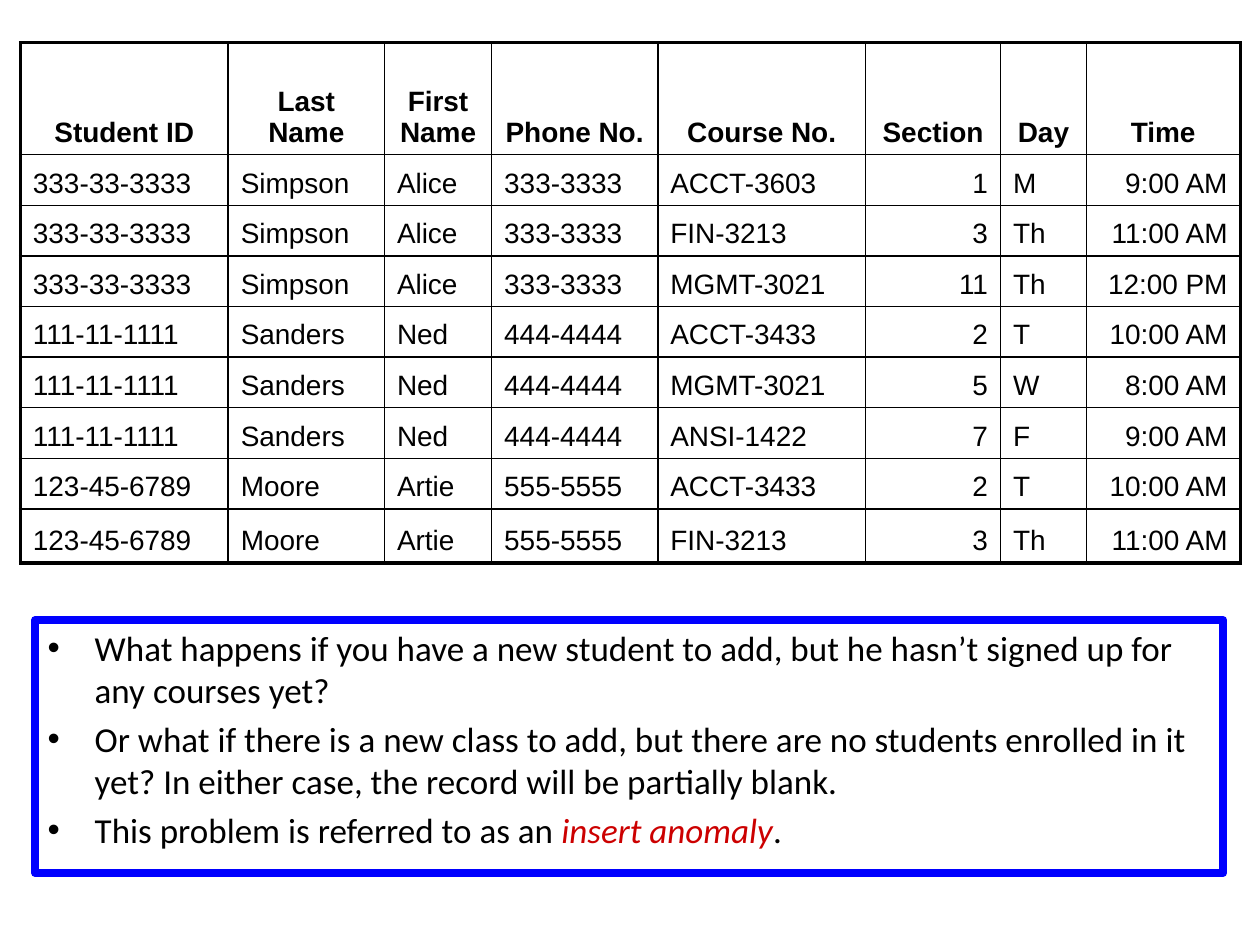
from lxml import etree
from pptx import Presentation
from pptx import util as u
from pptx.dml import color
from pptx.enum import shapes, text
from pptx.oxml import ns

BLACK, WHITE, BLUE, RED = "000000", "FFFFFF", "0000FF", "CC0000"
LEFT, CENTER, RIGHT = text.PP_ALIGN.LEFT, text.PP_ALIGN.CENTER, text.PP_ALIGN.RIGHT

# heading, column width in cm, alignment of the body cells
COLUMNS = [
    ("Student ID", 4.19, LEFT), ("Last Name", 3.15, LEFT),
    ("First Name", 2.16, LEFT), ("Phone No.", 3.35, LEFT),
    ("Course No.", 4.19, LEFT), ("Section", 2.72, RIGHT),
    ("Day", 1.73, LEFT), ("Time", 3.1, RIGHT),
]
ENROLLMENTS = {
    ("333-33-3333", "Simpson", "Alice", "333-3333"): [
        ("ACCT-3603", "1", "M", "9:00 AM"),
        ("FIN-3213", "3", "Th", "11:00 AM"),
        ("MGMT-3021", "11", "Th", "12:00 PM"),
    ],
    ("111-11-1111", "Sanders", "Ned", "444-4444"): [
        ("ACCT-3433", "2", "T", "10:00 AM"),
        ("MGMT-3021", "5", "W", "8:00 AM"),
        ("ANSI-1422", "7", "F", "9:00 AM"),
    ],
    ("123-45-6789", "Moore", "Artie", "555-5555"): [
        ("ACCT-3433", "2", "T", "10:00 AM"),
        ("FIN-3213", "3", "Th", "11:00 AM"),
    ],
}
HEAD_HEIGHT, ROW_HEIGHT, LAST_HEIGHT = 2.26, 1.02, 1.09

PLAIN = {"name": "Calibri", "size": u.Pt(20), "bold": False, "italic": False}
TERM = PLAIN | {"italic": True}
QUESTIONS = [
    [("What happens if you have a new student to add, but he hasn’t signed up "
      "for any courses yet?", PLAIN, BLACK)],
    [("Or what if there is a new class to add, but there are no students enrolled "
      "in it yet? In either case, the record will be partially blank.", PLAIN, BLACK)],
    [("This problem is referred to as an ", PLAIN, BLACK),
     ("insert anomaly", TERM, RED), (".", PLAIN, BLACK)],
]


def rgb(value):
    return color.RGBColor.from_string(value)


def set_all(target, values):
    for name, value in values.items():
        setattr(target, name, value)


def add_span(para, words, font, ink):
    span = para.add_run()
    span.text = words
    set_all(span.font, font)
    span.font.color.rgb = rgb(ink)


def add_child(parent, tag, **attributes):
    return etree.SubElement(parent, ns.qn(tag), attributes)


def set_borders(cell, widths):
    """Draw black cell borders; widths maps the sides L, R, T, B to points."""
    properties = cell._tc.get_or_add_tcPr()
    for side, points in widths.items():
        line = add_child(properties, f"a:ln{side}", w=str(u.Pt(points)))
        add_child(add_child(line, "a:solidFill"), "a:srgbClr", val=BLACK)


def set_bullet(para, indent):
    properties = para._p.get_or_add_pPr()
    properties.set("marL", str(indent))
    properties.set("indent", str(-indent))
    add_child(add_child(properties, "a:buClr"), "a:srgbClr", val=BLACK)
    add_child(properties, "a:buFont", typeface="Arial")
    add_child(properties, "a:buChar", char="•")


def add_enrollment_table(page, left, top):
    rows = [[heading for heading, _, _ in COLUMNS]]
    rows += [student + course for student, courses in ENROLLMENTS.items()
             for course in courses]
    heights = [HEAD_HEIGHT] + [ROW_HEIGHT] * (len(rows) - 2) + [LAST_HEIGHT]
    width = sum(column[1] for column in COLUMNS)
    table = page.shapes.add_table(len(rows), len(COLUMNS), u.Cm(left), u.Cm(top),
                                  u.Cm(width), u.Cm(sum(heights))).table
    set_all(table, {"first_row": False, "horz_banding": False})
    for column, (_, column_width, _) in zip(table.columns, COLUMNS):
        column.width = u.Cm(column_width)

    last_row, last_column = len(rows) - 1, len(COLUMNS) - 1
    for r, (values, height) in enumerate(zip(rows, heights)):
        table.rows[r].height = u.Cm(height)
        for c, (value, (_, _, align)) in enumerate(zip(values, COLUMNS)):
            cell = table.cell(r, c)
            # The outer frame is twice as heavy as the inner grid
            set_borders(cell, {"L": 2 if c == 0 else 1,
                               "R": 2 if c == last_column else 1,
                               "T": 2 if r == 0 else 1,
                               "B": 2 if r == last_row else 1})
            cell.fill.background()
            cell.vertical_anchor = text.MSO_ANCHOR.BOTTOM
            para = cell.text_frame.paragraphs[0]
            para.alignment = CENTER if r == 0 else align
            font = {"name": "Arial", "size": u.Pt(16), "bold": r == 0}
            add_span(para, value, font, BLACK)


def add_question_box(page, left, top, width, height):
    box = page.shapes.add_shape(shapes.MSO_SHAPE.RECTANGLE, u.Cm(left), u.Cm(top),
                                u.Cm(width), u.Cm(height))
    box.shadow.inherit = False
    box.fill.solid()
    box.fill.fore_color.rgb = rgb(WHITE)
    box.line.color.rgb = rgb(BLUE)
    box.line.width = u.Pt(4.5)
    frame = box.text_frame
    set_all(frame, {"word_wrap": True, "vertical_anchor": text.MSO_ANCHOR.TOP})
    for number, spans in enumerate(QUESTIONS):
        para = frame.add_paragraph() if number else frame.paragraphs[0]
        set_bullet(para, u.Cm(0.95))
        set_all(para, {"alignment": LEFT, "space_before": u.Pt(4 if number else 0)})
        for words, font, ink in spans:
            add_span(para, words, font, ink)


def main():
    deck = Presentation()
    set_all(deck, {"slide_width": u.Cm(25.4), "slide_height": u.Cm(19.05)})
    page = deck.slides.add_slide(deck.slide_layouts[6])
    # Enrollment records above, discussion points below
    add_enrollment_table(page, 0.41, 0.86)
    add_question_box(page, 0.71, 12.5, 23.95, 5.1)
    deck.save("out.pptx")


if __name__ == "__main__":
    main()
